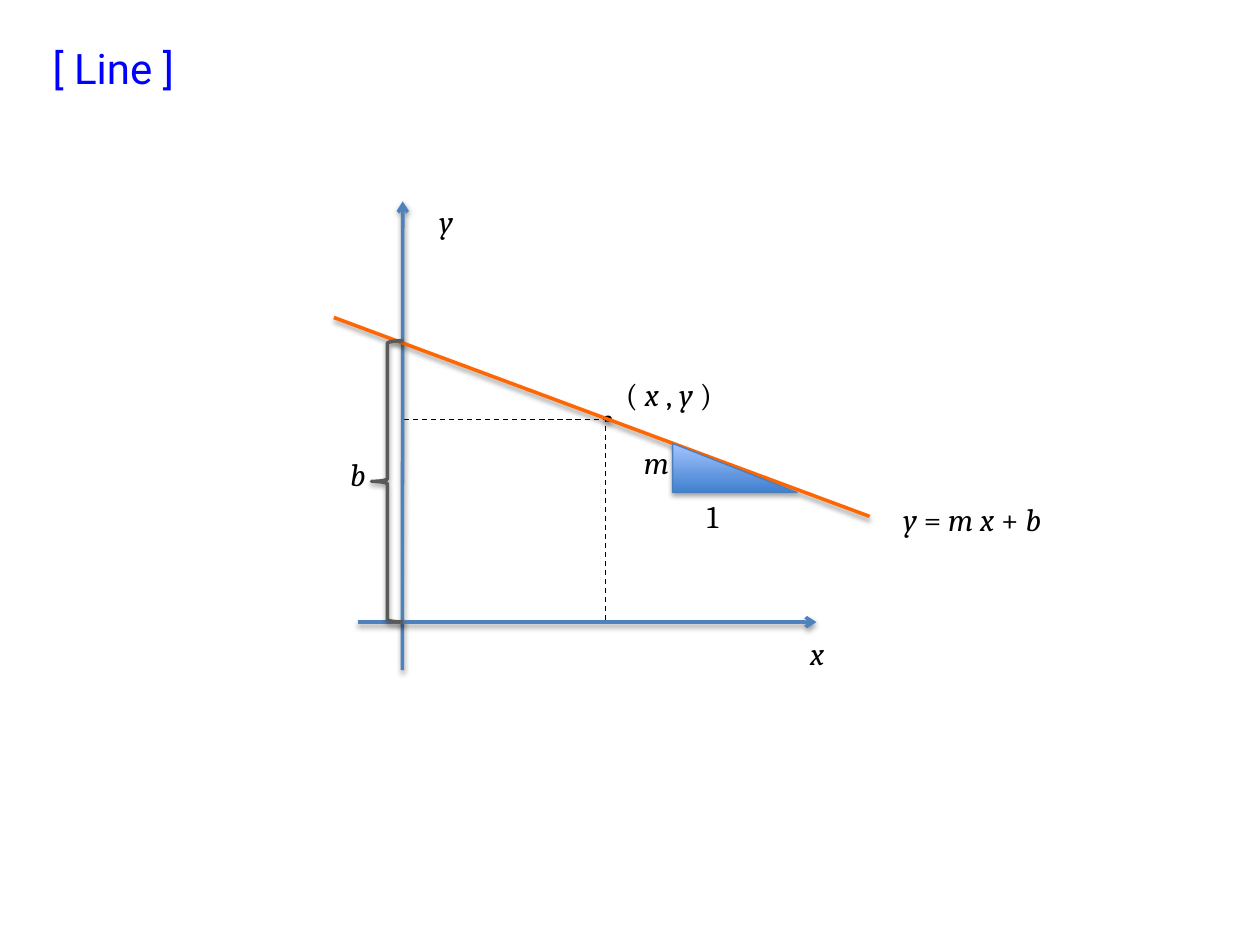
from lxml.etree import SubElement
from pptx import Presentation
from pptx.dml.color import RGBColor
from pptx.enum.dml import MSO_LINE
from pptx.enum.shapes import MSO_CONNECTOR, MSO_SHAPE
from pptx.enum.text import MSO_AUTO_SIZE
from pptx.oxml.ns import qn
from pptx.util import Cm, Pt

BLACK = "000000"
AXIS = "4F81BD"
MATH = {"name": "Cambria", "size": Pt(18)}
HEADING = {"name": "Roboto", "size": Pt(24)}


def rgb(value):
    return RGBColor.from_string(value)


def apply_format(target, values):
    for name, value in values.items():
        setattr(target, name, value)


def add_shadow(sp, opacity, distance):
    pr = sp._element.spPr
    for old in pr.findall(qn("a:effectLst")):
        pr.remove(old)
    effects = SubElement(pr, qn("a:effectLst"))
    shadow = SubElement(effects, qn("a:outerShdw"), blurRad=str(Pt(3.1)),
                        dist=str(Pt(distance)), dir="5400000", rotWithShape="0")
    color = SubElement(shadow, qn("a:srgbClr"), val=BLACK)
    SubElement(color, qn("a:alpha"), val=str(opacity * 1000))


def add_text(s, box, paragraphs, font=MATH, color=BLACK, wrap=False):
    sp = s.shapes.add_textbox(*map(Cm, box))
    tf = sp.text_frame
    apply_format(tf, {"word_wrap": wrap, "auto_size": MSO_AUTO_SIZE.SHAPE_TO_FIT_TEXT})
    for i, runs in enumerate(paragraphs):
        p = tf.add_paragraph() if i else tf.paragraphs[0]
        for text, italic in runs:
            r = p.add_run()
            r.text = text
            apply_format(r.font, {**font, "italic": italic})
            r.font.color.rgb = rgb(color)
    return tf


def add_line(s, start, end, color, arrow=False):
    sp = s.shapes.add_connector(MSO_CONNECTOR.STRAIGHT, *map(Cm, start + end))
    sp.line.color.rgb = rgb(color)
    sp.line.width = Pt(2)
    if arrow:
        SubElement(sp.line._get_or_add_ln(), qn("a:tailEnd"), type="arrow")
    add_shadow(sp, 38, 1.6)


def add_figure(s, kind, box, color, fill=None, **line):
    sp = s.shapes.add_shape(kind, *map(Cm, box))
    sp.shadow.inherit = False
    if fill is None:
        sp.fill.background()
    elif isinstance(fill, str):
        sp.fill.solid()
        sp.fill.fore_color.rgb = rgb(fill)
    else:
        sp.fill.gradient()
        sp.fill.gradient_angle = 90
        for stop, value in zip(sp.fill.gradient_stops, fill):
            stop.color.rgb = rgb(value)
    sp.line.color.rgb = rgb(color)
    apply_format(sp.line, {"width": Pt(0.75), **line})
    return sp


def add_slope_labels(s):
    tf = add_text(s, (12.73, 8.81, 2.36, 2.13), [[("m", True)], [("1", False)]])
    p = tf.paragraphs[1]
    p.space_before = Pt(9.4)
    p._p.get_or_add_pPr().set("marL", str(Cm(1.27)))


def main():
    prs = Presentation()
    apply_format(prs, {"slide_width": Cm(25.4), "slide_height": Cm(19.05)})
    s = prs.slides.add_slide(prs.slide_layouts[6])

    add_text(s, (0.81, 0.74, 22.83, 1.7), [[("[ Line ]", None)]], HEADING, "0000FF", True)
    point = add_figure(s, MSO_SHAPE.OVAL, (12.19, 8.39, 0.13, 0.1), BLACK, BLACK)
    add_shadow(point, 35, 1.8)
    add_figure(s, MSO_SHAPE.RECTANGLE, (8.1, 8.46, 4.11, 4.09), BLACK,
               dash_style=MSO_LINE.DASH)

    add_line(s, (8.11, 13.51), (8.12, 4.06), AXIS, arrow=True)
    add_line(s, (7.21, 12.54), (16.46, 12.54), AXIS, arrow=True)
    add_text(s, (16.08, 12.65, 0.97, 1.02), [[("x", True)]])
    add_text(s, (8.61, 3.94, 0.97, 1.02), [[("y", True)]])
    add_text(s, (12.37, 7.44, 2.31, 1.02),
             [[("( ", False), ("x ", True), (",", False), (" y ", True), (")", False)]])

    add_line(s, (6.73, 6.4), (17.53, 10.41), "FF6600")
    add_text(s, (17.96, 9.96, 3.56, 1.02),
             [[("y ", True), ("= ", False), ("m x", True), (" + ", False), ("b", True)]])
    slope = add_figure(s, MSO_SHAPE.RIGHT_TRIANGLE, (13.56, 8.94, 2.51, 0.99),
                       "4B7EBC", ("3F80CE", "A4C4FF"))
    add_shadow(slope, 35, 1.8)
    add_slope_labels(s)

    brace = add_figure(s, MSO_SHAPE.LEFT_BRACE, (7.49, 6.87, 0.64, 5.67), "595959",
                       width=Pt(2))
    add_shadow(brace, 38, 1.6)
    add_text(s, (6.81, 9.04, 1.02, 1.02), [[("b", True)]])

    prs.save("out.pptx")


if __name__ == "__main__":
    main()
